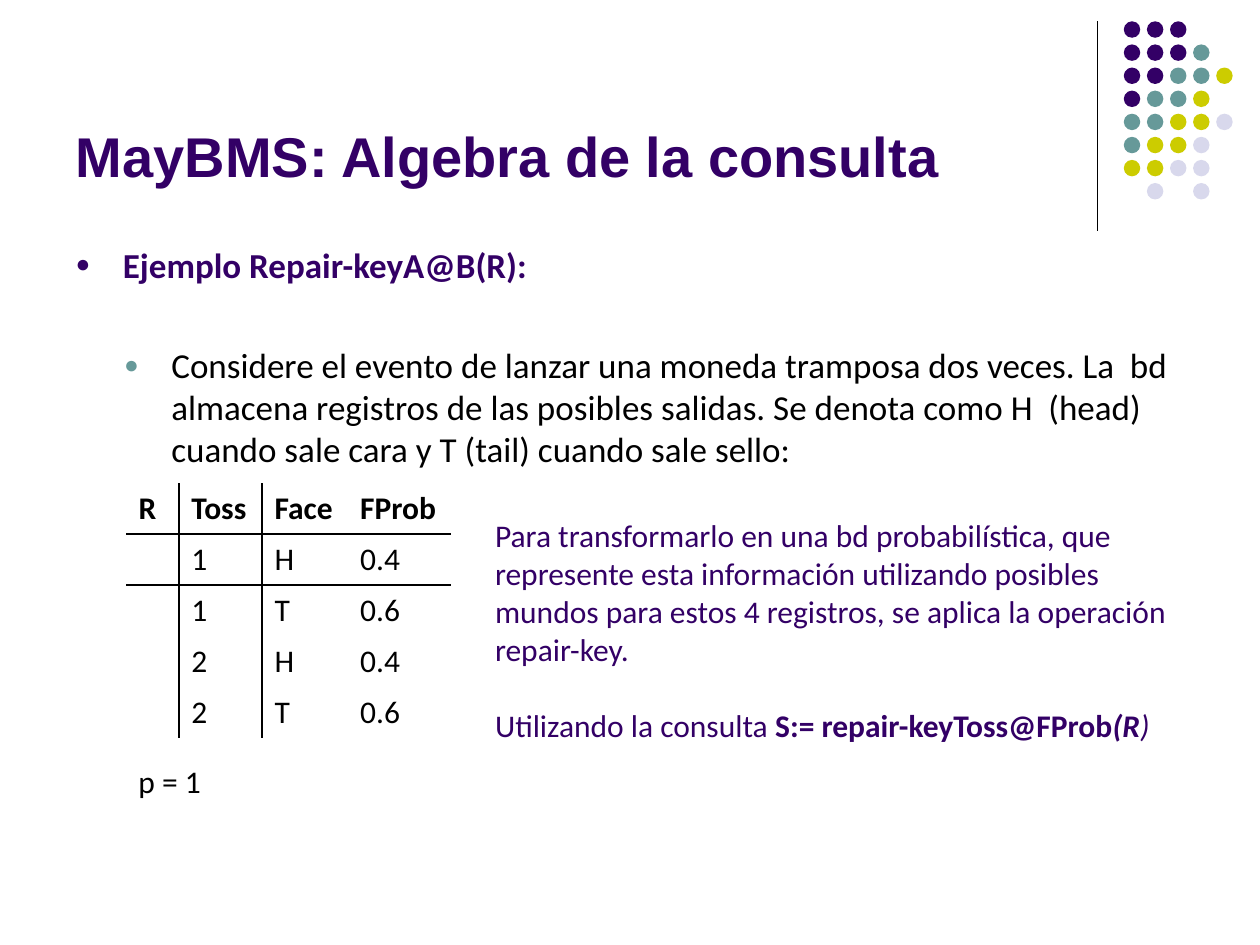
"""Slide on the query algebra of MayBMS, with a repair-key example."""
from pptx import Presentation
from pptx.dml.color import RGBColor
from pptx.enum.shapes import MSO_CONNECTOR, MSO_SHAPE
from pptx.enum.text import MSO_ANCHOR, MSO_AUTO_SIZE, PP_ALIGN
from pptx.oxml import parse_xml
from pptx.oxml.ns import nsdecls, qn
from pptx.util import Pt

LINE, DOT = MSO_CONNECTOR.STRAIGHT, MSO_SHAPE.OVAL
LEFT = PP_ALIGN.LEFT
TOP, MIDDLE, BOTTOM = MSO_ANCHOR.TOP, MSO_ANCHOR.MIDDLE, MSO_ANCHOR.BOTTOM
NO_FIT = MSO_AUTO_SIZE.NONE

BLACK = RGBColor(0x00, 0x00, 0x00)
PURPLE = RGBColor(0x33, 0x00, 0x66)
TEAL = RGBColor(0x66, 0x99, 0x99)
LIME = RGBColor(0xCC, 0xCC, 0x00)
PALE = RGBColor(0xD8, 0xD8, 0xEC)

HUES = {"P": PURPLE, "T": TEAL, "L": LIME, "W": PALE}
DOTS = ["PPP", "PPPT", "PPTTL", "PTTL", "TTLLW", "TLLW", "LLWW", " W W"]
PLAIN_STYLE = "{2D5ABB26-0587-4C30-8999-92F81FD0307C}"
WIDTHS = [30.2, 47.5, 49, 59]
ROWS = [
    ["R", "Toss", "Face", "FProb"],
    ["", "1", "H", "0.4"],
    ["", "1", "T", "0.6"],
    ["", "2", "H", "0.4"],
    ["", "2", "T", "0.6"],
]


def place(shape, left, top, width, height):
    """Move and size a shape, in points."""
    shape.left, shape.top = Pt(left), Pt(top)
    shape.width, shape.height = Pt(width), Pt(height)


def frame(shape, anchor, wrap=True):
    """Set up the text frame of a shape and return it."""
    text = shape.text_frame
    text.auto_size = NO_FIT
    text.word_wrap = wrap
    text.vertical_anchor = anchor
    return text


def write(para, text, size, color, bold=False, italic=False, face="Calibri"):
    """Add one run to a left-aligned paragraph."""
    para.alignment = LEFT
    run = para.add_run()
    run.text = text
    font = run.font
    font.name, font.size = face, Pt(size)
    font.bold, font.italic = bold, italic
    font.color.rgb = color


def bullet(para, color, margin):
    """Give a paragraph a small round bullet with a hanging indent."""
    props = para._p.get_or_add_pPr()
    props.set("marL", str(Pt(margin)))
    props.set("indent", str(Pt(-27)))
    space = nsdecls("a")
    for xml in (
        f'<a:buClr {space}><a:srgbClr val="{color}"/></a:buClr>',
        f'<a:buSzPct {space} val="70000"/>',
        f'<a:buFont {space} typeface="Arial"/>',
        f'<a:buChar {space} char="●"/>',
    ):
        props.append(parse_xml(xml))


def border(cell, sides):
    """Draw black lines on the named sides of a cell."""
    props = cell._tc.get_or_add_tcPr()
    for spot, side in enumerate(sides):
        props.insert(spot, parse_xml(
            f'<a:ln{side} {nsdecls("a")} w="{Pt(0.96)}"><a:solidFill>'
            f'<a:srgbClr val="{BLACK}"/></a:solidFill></a:ln{side}>'))


def add_dots(slide):
    """Draw the corner line and its grid of dots."""
    line = slide.shapes.add_connector(LINE, Pt(627), Pt(12.2), Pt(627), Pt(132))
    line.line.color.rgb = BLACK
    line.line.width = Pt(0.75)
    line._element.spPr.append(parse_xml(f'<a:effectLst {nsdecls("a")}/>'))
    group = slide.shapes.add_group_shape()
    step, size = 13.2, 9.4
    for row, codes in enumerate(DOTS):
        for col, code in enumerate(codes):
            if code in HUES:
                dot = group.shapes.add_shape(
                    DOT, Pt(642.2 + col * step), Pt(12.2 + row * step),
                    Pt(size), Pt(size))
                dot.shadow.inherit = False
                dot.fill.solid()
                dot.fill.fore_color.rgb = HUES[code]
                dot.line.fill.background()


def add_title(slide):
    """Fill the title."""
    title = slide.shapes.title
    place(title, 36, 9.4, 594, 102)
    para = frame(title, BOTTOM).paragraphs[0]
    write(para, "MayBMS: Algebra de la consulta", 32, PURPLE, bold=True, face="Arial")


def add_body(slide):
    """Fill the list."""
    body = slide.placeholders[1]
    place(body, 36, 135.4, 648, 347)
    text = frame(body, TOP)
    head = text.paragraphs[0]
    bullet(head, PURPLE, 27)
    head.space_before = Pt(0)
    write(head, "Ejemplo Repair-keyA@B(R):", 20, PURPLE, bold=True)
    item = text.add_paragraph()
    item.level = 1
    bullet(item, TEAL, 54.7)
    item.space_before = Pt(33.3)
    write(item, "Considere el evento de lanzar una moneda tramposa dos veces. "
          "La  bd almacena registros de las posibles salidas. Se denota como "
          "H  (head) cuando sale cara y T (tail) cuando sale sello:", 20, BLACK)


def add_grid(slide):
    """Draw the table of tosses."""
    shape = slide.shapes.add_table(
        len(ROWS), len(WIDTHS), Pt(72), Pt(276), Pt(sum(WIDTHS)), Pt(145.5))
    table = shape.table
    table.first_row = table.horz_banding = False
    table._tbl.tblPr.find(qn("a:tableStyleId")).text = PLAIN_STYLE
    for col, width in enumerate(WIDTHS):
        table.columns[col].width = Pt(width)
    for row, texts in enumerate(ROWS):
        for col, text in enumerate(texts):
            cell = table.cell(row, col)
            cell.fill.background()
            side = {0: ["R"], 1: ["L"]}.get(col, [])
            edge = {0: ["B"], 1: ["T"]}.get(row, [])
            border(cell, side + edge)
            if text:
                write(cell.text_frame.paragraphs[0], text, 18, BLACK, bold=row == 0)


def add_box(slide, spot, lines, color, wrap=True):
    """Add a text box; each line is a list of (text, bold, italic) runs."""
    box = slide.shapes.add_textbox(*map(Pt, spot))
    text = frame(box, MIDDLE, wrap)
    for order, runs in enumerate(lines):
        para = text.add_paragraph() if order else text.paragraphs[0]
        if order:
            para.space_before = Pt(22)
        for words, bold, italic in runs:
            write(para, words, 18, color, bold, italic)


def main():
    """Build and save the slide."""
    deck = Presentation()
    deck.slide_width, deck.slide_height = Pt(720), Pt(540)
    slide = deck.slides.add_slide(deck.slide_layouts[1])
    add_dots(slide)
    add_title(slide)
    add_body(slide)
    add_grid(slide)
    add_box(slide, (72, 432, 49.7, 29), [[("p = 1", False, False)]], BLACK, wrap=False)
    add_box(slide, (275.8, 291.6, 401.8, 137), [
        [("Para transformarlo en una bd probabilística, que represente esta "
          "información utilizando posibles mundos para estos 4 registros, se "
          "aplica la operación repair-key.", False, False)],
        [("Utilizando la consulta ", False, False),
         ("S:= repair-keyToss@FProb", True, False),
         ("(R", True, True),
         (")", False, True)],
    ], PURPLE)
    deck.save("out.pptx")


if __name__ == "__main__":
    main()
